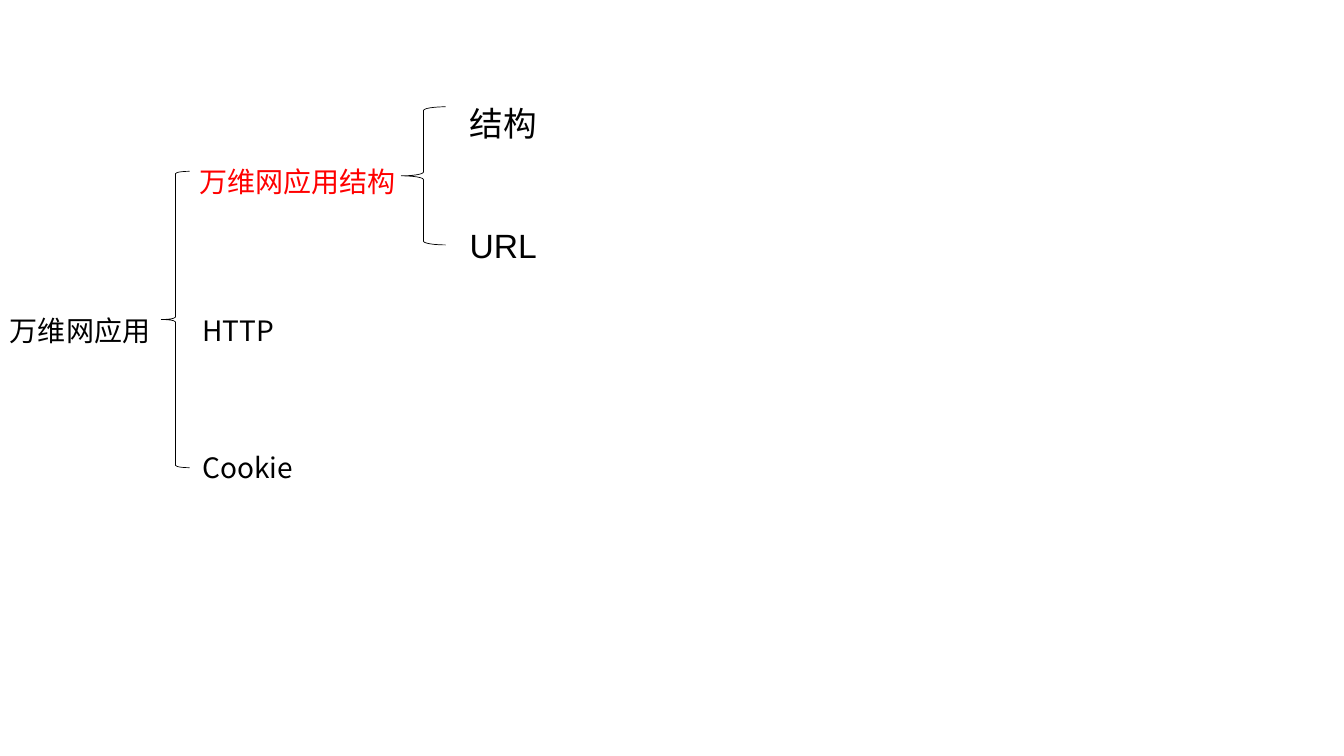
from lxml.etree import SubElement
from pptx import Presentation
from pptx.dml.color import RGBColor
from pptx.enum.shapes import MSO_SHAPE
from pptx.enum.text import MSO_AUTO_SIZE
from pptx.oxml.ns import qn
from pptx.util import Inches, Pt

COLORS = {"text": "000000", "current": "FF0000"}
CJK_FONT = "Noto Sans CJK SC"
LABELS = [
    (["万维网应用"], (0, 2.89, 1.61, 0.55), CJK_FONT, 20, "text"),
    (["万维网应用结构"], (1.88, 1.42, 2.4, 0.55), CJK_FONT, 20, "current"),
    (["HTTP"], (1.91, 2.89, 1.13, 0.61), CJK_FONT, 20, "text"),
    (["Cookie"], (1.91, 4.25, 1.45, 0.55), CJK_FONT, 20, "text"),
    (["结构", "URL"], (4.56, 0.77, 1.78, 1.84), "Arial", 24, "text"),
]
BRACES = [(1.6, 1.7, 0.28, 2.94), (3.98, 1.06, 0.44, 1.37)]
LINE_SPACING = 1.5
BRANCH_GAP = Pt(44)


def add_label(slide, lines, box, font_name, size, color):
    frame = slide.shapes.add_textbox(*map(Inches, box)).text_frame
    frame.word_wrap = True
    frame.auto_size = MSO_AUTO_SIZE.SHAPE_TO_FIT_TEXT
    frame.text = "\n".join(lines)
    for index, paragraph in enumerate(frame.paragraphs):
        paragraph.line_spacing = LINE_SPACING
        if index:
            paragraph.space_before = BRANCH_GAP
        font = paragraph.font
        font.size = Pt(size)
        font.color.rgb = RGBColor.from_string(COLORS[color])
        font.name = font_name
        defaults = paragraph._p.pPr.find(qn("a:defRPr"))
        SubElement(defaults, qn("a:ea")).set("typeface", CJK_FONT)


def add_brace(slide, box):
    brace = slide.shapes.add_shape(MSO_SHAPE.LEFT_BRACE, *map(Inches, box))
    brace.shadow.inherit = False
    brace.fill.background()
    brace.line.color.rgb = RGBColor.from_string(COLORS["text"])
    brace.line.width = Pt(0.5)


def main():
    presentation = Presentation()
    presentation.slide_width = Inches(13.33)
    presentation.slide_height = Inches(7.5)
    slide = presentation.slides.add_slide(presentation.slide_layouts[6])
    for box in BRACES:
        add_brace(slide, box)
    for label in LABELS:
        add_label(slide, *label)
    presentation.save("out.pptx")


if __name__ == "__main__":
    main()
